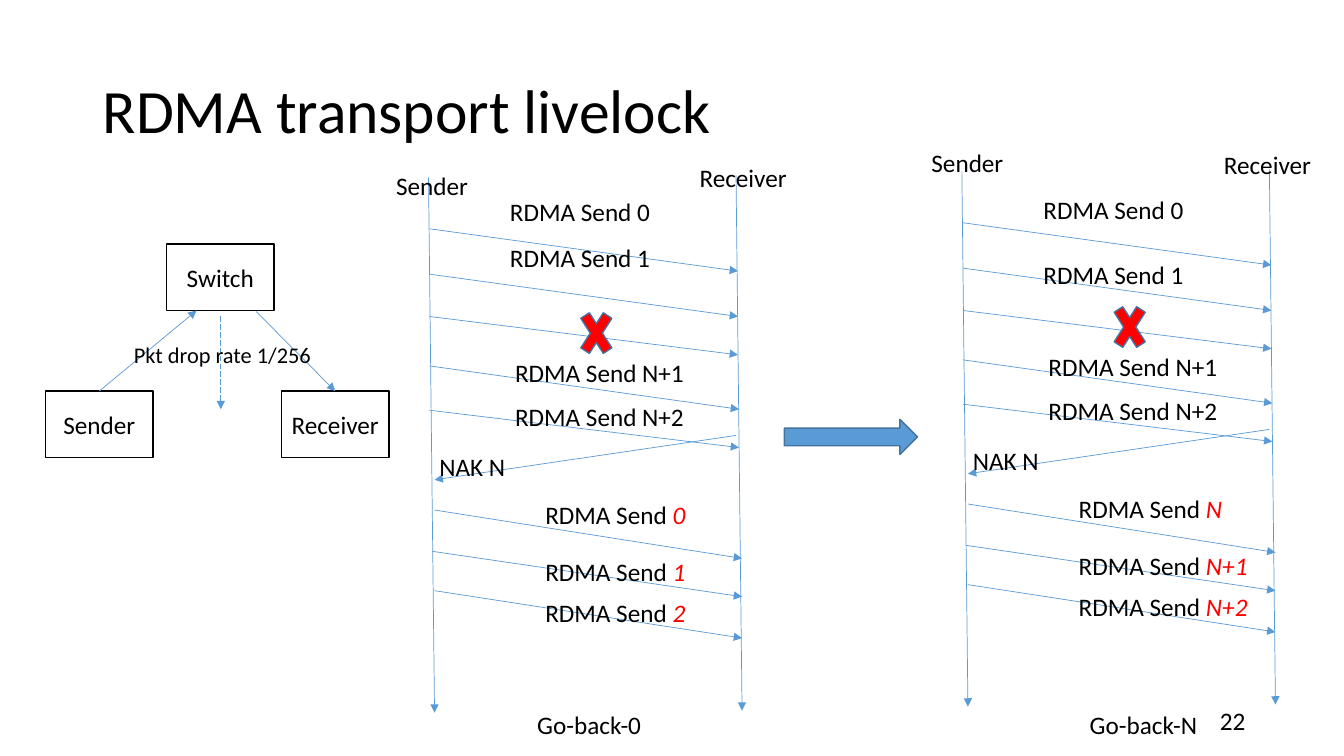
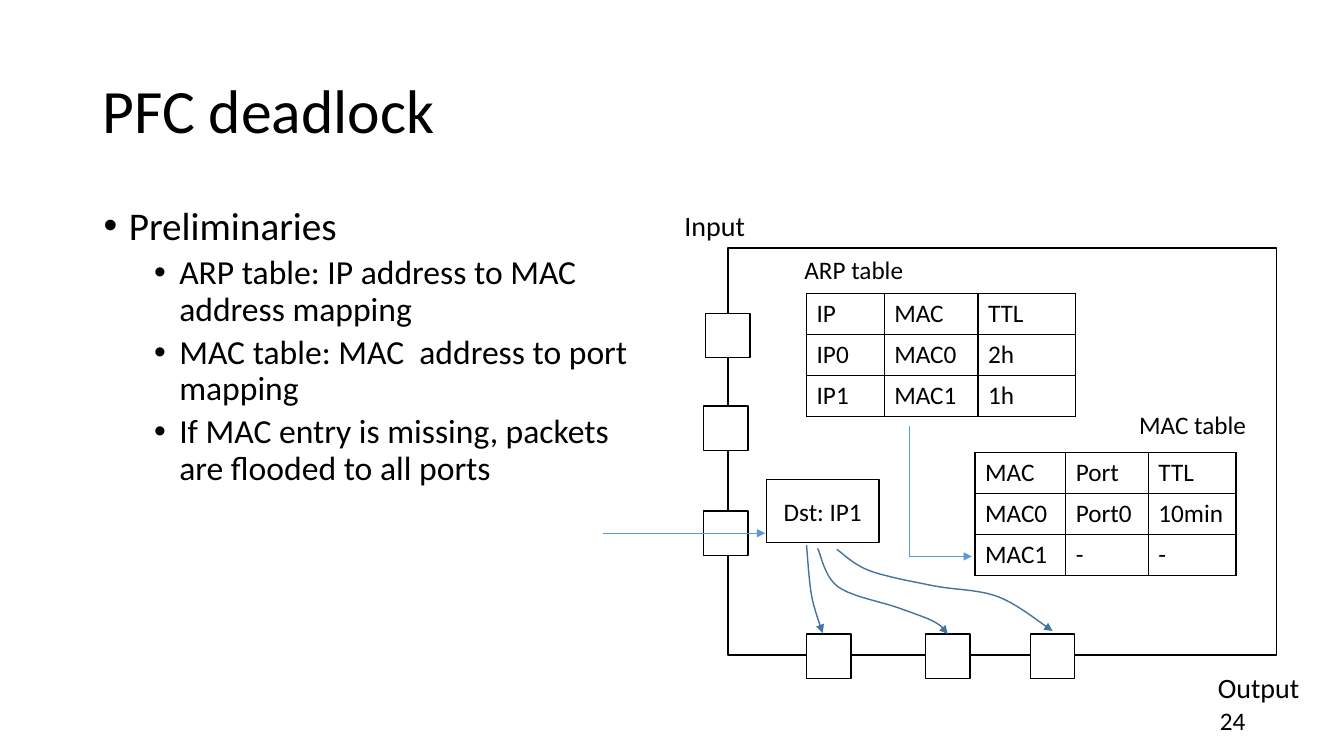
from lxml.etree import SubElement
from pptx import Presentation
from pptx.dml.color import RGBColor
from pptx.enum.dml import MSO_LINE
from pptx.enum.shapes import MSO_CONNECTOR, MSO_SHAPE
from pptx.enum.text import MSO_ANCHOR, PP_ALIGN
from pptx.oxml.ns import qn
from pptx.util import Inches, Pt

FONT = "Calibri"
BLACK, WHITE, RED, BLUE, DARK_BLUE = "000000", "FFFFFF", "FF0000", "5B9BD5", "43739E"


def g(n):
    """Return the length of n columns or rows of a tenth-inch grid."""
    return Inches(n / 10)


def rgb(value):
    """Turn a hex string into a colour."""
    return RGBColor.from_string(value)


def style(p, size, color=BLACK):
    """Format every run of a paragraph."""
    for r in p.runs:
        r.font.name, r.font.size = FONT, Pt(size)
        r.font.color.rgb = rgb(color)


def stroke(sp, color, width, arrow=False, dash=None):
    """Set the line of a shape, without a shadow."""
    sp.line.color.rgb = rgb(color)
    sp.line.width = Pt(width)
    if dash:
        sp.line.dash_style = dash
    if arrow:
        SubElement(sp.line._get_or_add_ln(), qn("a:tailEnd"), type="triangle")
    if sp._element.spPr.find(qn("a:effectLst")) is None:
        SubElement(sp._element.spPr, qn("a:effectLst"))


def label(s, x, y, text, w=20, h=4, size=18, accent=""):
    """Add a text box, optionally ending in red italics."""
    tf = s.shapes.add_textbox(g(x), g(y), g(w), g(h)).text_frame
    tf.word_wrap = True
    p = tf.paragraphs[0]
    p.text = text
    style(p, size)
    if accent:
        r = p.add_run()
        r.text = accent
        r.font.name, r.font.size, r.font.italic = FONT, Pt(18), True
        r.font.color.rgb = rgb(RED)
    return tf


def shape(s, kind, x, y, w, h, fill=WHITE, line=BLACK, text=""):
    """Add a filled preset shape with centred text."""
    sp = s.shapes.add_shape(kind, g(x), g(y), g(w), g(h))
    sp.fill.solid()
    sp.fill.fore_color.rgb = rgb(fill)
    stroke(sp, line, 1)
    if text:
        p = sp.text_frame.paragraphs[0]
        p.text = text
        p.alignment = PP_ALIGN.CENTER
        sp.text_frame.vertical_anchor = MSO_ANCHOR.MIDDLE
        style(p, 18)
    return sp


def line(s, x1, y1, x2, y2, arrow=True, dash=None):
    """Add a thin blue line."""
    c = s.shapes.add_connector(MSO_CONNECTOR.STRAIGHT, g(x1), g(y1), g(x2), g(y2))
    stroke(c, BLUE, 0.5, arrow, dash)
    return c


def curve(s, x, y, knots, steps=10):
    """Draw a smooth arrow through the knots."""
    ends = [knots[0], *knots, knots[-1]]
    points = []
    for a, b, c, d in zip(ends, ends[1:], ends[2:], ends[3:]):
        for i in range(steps):
            t = i / steps
            points.append([
                q + t * (r - p) / 2
                + t**2 * (p - 2.5 * q + 2 * r - u / 2)
                + t**3 * (1.5 * (q - r) + (u - p) / 2)
                for p, q, r, u in zip(a, b, c, d)])
    points = [(g(x + px), g(y + py)) for px, py in points + [knots[-1]]]
    builder = s.shapes.build_freeform(*points[0])
    builder.add_line_segments(points[1:], close=False)
    sp = builder.convert_to_shape()
    sp.fill.background()
    stroke(sp, DARK_BLUE, 1, arrow=True)


def table(s, x, y, widths, rows, row_h=4.07):
    """Add a plain table with a black grid."""
    frame = s.shapes.add_table(len(rows), len(widths), g(x), g(y),
                               g(sum(widths)), g(row_h * len(rows)))
    t = frame.table
    t.first_row = t.horz_banding = False
    for col, w in zip(t.columns, widths):
        col.width = g(w)
    for row, values in zip(t.rows, rows):
        row.height = g(row_h)
        for cell, value in zip(row.cells, values):
            cell.text = value
            style(cell.text_frame.paragraphs[0], 18)
            pr = cell._tc.get_or_add_tcPr()
            for side in "LRTB":
                ln = SubElement(pr, qn(f"a:ln{side}"), w=str(Pt(1)))
                fill = SubElement(ln, qn("a:solidFill"))
                SubElement(fill, qn("a:srgbClr"), val=BLACK)
            cell.fill.background()


def base_slide(prs, title, number):
    """Start a slide with its title and number."""
    s = prs.slides.add_slide(prs.slide_layouts[6])
    label(s, 120, 69.5, number, w=5)
    tf = label(s, 9.2, 4, title, 115, 14.5, 44)
    tf.vertical_anchor = MSO_ANCHOR.MIDDLE
    tf.paragraphs[0].line_spacing = 0.9
    return s


def bullets(s, x, y, w, h, items):
    """Add a two-level bullet list of (level, text) items."""
    tf = s.shapes.add_textbox(g(x), g(y), g(w), g(h)).text_frame
    tf.word_wrap = True
    for i, (level, text) in enumerate(items):
        p = tf.add_paragraph() if i else tf.paragraphs[0]
        p.text, p.level, p.line_spacing = text, level, 0.9
        p.space_before = Pt(5 if level else 10)
        style(p, 24 if level else 28)
        pr = p._p.get_or_add_pPr()
        pr.set("marL", str(g(2.5 + 5 * level)))
        pr.set("indent", str(-g(2.5)))
        SubElement(pr, qn("a:buFont"), typeface="Arial")
        SubElement(pr, qn("a:buChar"), char="•")


def topology(s, x, y):
    """Draw two hosts joined by a lossy switch."""
    size = (10.7, 6.6)
    sender = shape(s, MSO_SHAPE.RECTANGLE, x, y + 14.6, *size, text="Sender")
    receiver = shape(s, MSO_SHAPE.RECTANGLE, x + 23.4, y + 14.6, *size, text="Receiver")
    shape(s, MSO_SHAPE.RECTANGLE, x + 12, y, *size, text="Switch")
    line(s, x + 5.3, y + 14.6, x + 15, y + 6.6).begin_connect(sender, 0)
    line(s, x + 20.9, y + 6.7, x + 28.7, y + 14.6).end_connect(receiver, 0)
    line(s, x + 17.4, y + 7.2, x + 17.4, y + 16.4, dash=MSO_LINE.LONG_DASH)
    label(s, x + 7.8, y + 9.2, "Pkt drop rate 1/256", size=16)


def sequence(s, x, y, heads, first_sends, resent, caption):
    """Draw the messages exchanged by a sender and a receiver."""
    arrows = [
        (0, 0.2, 0.6, 53.3), (30.5, 0, 31.1, 53.1),
        (0.1, 5.3, 30.7, 9.5), (0.1, 9.8, 30.7, 14), (0.1, 14, 30.7, 17.8),
        (0.1, 18.9, 30.8, 23.2), (0.1, 23.3, 30.8, 27), (30.5, 25.8, 0.6, 30.2),
        (0.6, 33.2, 31.1, 38), (0.4, 37.3, 31.1, 41.8), (0.6, 41.2, 31.1, 45.9)]
    for x1, y1, x2, y2 in arrows:
        line(s, x + x1, y + y1, x + x2, y + y2)
    shape(s, MSO_SHAPE.MATH_MULTIPLY, x + 14.5, y + 12.3, 4.3, 6.7, RED, DARK_BLUE)
    for text, (dx, dy) in zip(("Sender", "Receiver"), heads):
        label(s, x + dx, y + dy, text, w=11.3)
    for i, dy in enumerate(first_sends):
        label(s, x + 7.1, y + dy, f"RDMA Send {i}")
    for i, dy in enumerate((17.6, 21.9), 1):
        label(s, x + 7.6, y + dy, f"RDMA Send N+{i}")
    label(s, x + 0.1, y + 26.9, "NAK N", w=9)
    for accent, dy in zip(resent, (31.6, 37.3, 41.4)):
        label(s, x + 10.6, y + dy, "RDMA Send ", accent=accent)
    text, dx, dy = caption
    label(s, x + dx, y + dy, text, w=13)


def switch_diagram(s, x, y, w, h):
    """Draw a switch with its ports, tables and flooded packet."""
    port = 4.4
    shape(s, MSO_SHAPE.RECTANGLE, x, y, w, h)
    table(s, x + 7.8, y + 4.5, (7.7, 9.3, 9.7),
          [("IP", "MAC", "TTL"), ("IP0", "MAC0", "2h"), ("IP1", "MAC1", "1h")])
    table(s, x + 24.5, y + 20.3, (9, 8.2, 8.7),
          [("MAC", "Port", "TTL"), ("MAC0", "Port0", "10min"), ("MAC1", "-", "-")])
    inputs = [(-2.2, 6.5), (-2.4, 15.7), (-2.4, 26.1)]
    outputs = [(dx, h - 2.1) for dx in (7.8, 19.6, 30)]
    for dx, dy in inputs + outputs:
        shape(s, MSO_SHAPE.RECTANGLE, x + dx, y + dy, port, port)
    label(s, x - 5.3, y - 4.4, "Input", w=10, size=20)
    label(s, x + 47.6, y + h + 1, "Output", w=11, size=20)
    label(s, x + 6.6, y + 0.1, "ARP table", w=14)
    label(s, x + 39.8, y + 15.5, "MAC table", w=14)
    line(s, x + 18, y + 17.7, x + 18, y + 30.6, arrow=False)
    line(s, x + 18, y + 30.6, x + 24.2, y + 30.6)
    line(s, x - 12.4, y + 28.3, x + 3.7, y + 28.3)
    shape(s, MSO_SHAPE.RECTANGLE, x + 3.8, y + 23, 11.2, 6.2, text="Dst: IP1")
    for knots in (
            [(7.8, 29.5), (8.3, 34.5), (9.4, 38.2)],
            [(8.9, 29.8), (10.9, 33.6), (16.9, 35.7), (20.5, 37.1), (21.8, 38.3)],
            [(10.8, 29.9), (14, 32), (20.3, 33.5), (26.8, 34.6), (32.2, 38)]):
        curve(s, x, y, knots)


def livelock_slide(prs):
    """Compare the two retransmission schemes."""
    s = base_slide(prs, "RDMA transport livelock", "22")
    shape(s, MSO_SHAPE.RIGHT_ARROW, 77.8, 41.6, 13.2, 3.5, BLUE, DARK_BLUE)
    sequence(s, 42.5, 17.4, [(-4.2, -1), (25.9, -1.8)], (1.6, 6.2),
             ("0", "1", "2"), ("Go-back-0", 9.8, 52.5))
    sequence(s, 95.4, 16.8, [(-4, -2.7), (25, -2.5)], (2, 8.4),
             ("N", "N+1", "N+2"), ("Go-back-N", 11.7, 53.1))
    topology(s, 4.5, 24.2)


def deadlock_slide(prs):
    """Explain the tables behind packet flooding."""
    s = base_slide(prs, "PFC deadlock", "24")
    bullets(s, 9.3, 20, 54.5, 47.6, [
        (0, "Preliminaries"),
        (1, "ARP table: IP address to MAC address mapping"),
        (1, "MAC table: MAC  address to port mapping"),
        (1, "If MAC entry is missing, packets are flooded to all ports")])
    switch_diagram(s, 72.2, 24.6, 54.4, 40.4)


def main():
    """Build and save the presentation."""
    prs = Presentation()
    prs.slide_width, prs.slide_height = Inches(13.33), Inches(7.5)
    livelock_slide(prs)
    deadlock_slide(prs)
    prs.save("out.pptx")


if __name__ == "__main__":
    main()
